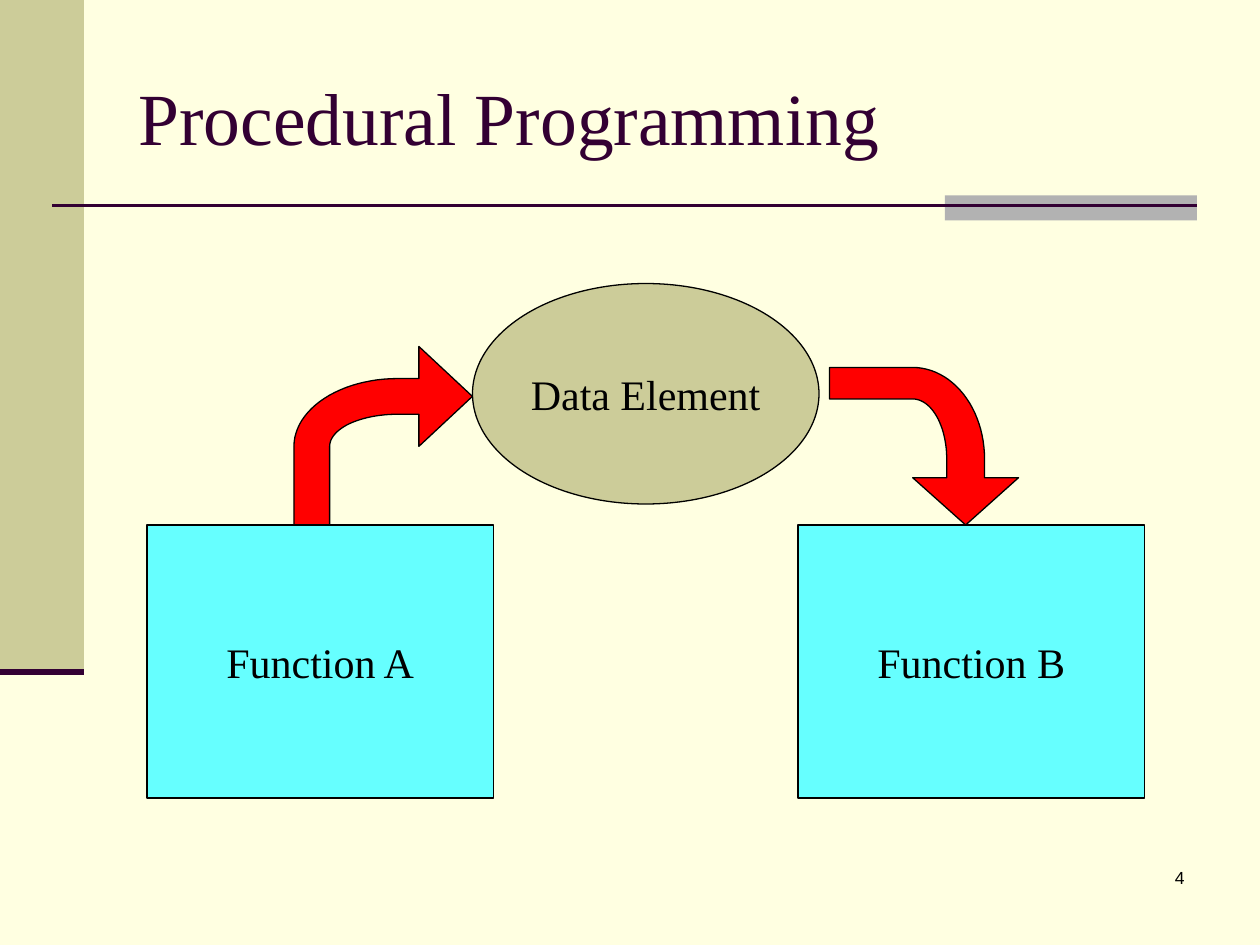
from math import cos, pi, sin

from lxml import etree
from pptx import Presentation
from pptx import util as u
from pptx.dml.color import RGBColor
from pptx.enum import shapes, text
from pptx.oxml.ns import qn

CREAM = RGBColor(0xFF, 0xFF, 0xE1)
KHAKI = RGBColor(0xCC, 0xCC, 0x99)
GREY = RGBColor(0xB2, 0xB2, 0xB2)
PLUM = RGBColor(0x33, 0x00, 0x33)
CYAN = RGBColor(0x66, 0xFF, 0xFF)
RED = RGBColor(0xFF, 0x00, 0x00)
BLACK = RGBColor(0x00, 0x00, 0x00)

RECT = shapes.MSO_SHAPE.RECTANGLE
OVAL = shapes.MSO_SHAPE.OVAL
SERIF, SANS = "Times New Roman", "Arial"


def grid(*cells):
    """Grid of 120 columns by 90 rows, twelve cells to the inch."""
    return [u.Inches(c / 12) for c in cells]


def bend(rx, ry, start, end, steps=24):
    """Quarter of an ellipse round the arrow's bend, in shares of its box."""
    angles = [start + (end - start) * i / steps for i in range(steps + 1)]
    return [(0.58 - rx * sin(a), 0.56 - ry * cos(a)) for a in angles]


# Bent arrow from bottom left to right, in shares of its box
ARROW = [(1, 0.28), (0.7, 0), (0.7, 0.18),
         *bend(0.58, 0.38, 0, pi / 2), (0, 1), (0.2, 1),
         *bend(0.38, 0.18, pi / 2, 0), (0.7, 0.38), (0.7, 0.56)]


class Slide:
    def __init__(self, prs):
        self.s = prs.slides.add_slide(prs.slide_layouts[6])
        self.s.background.fill.solid()
        self.s.background.fill.fore_color.rgb = CREAM

    def paint(self, sp, fill, outlined):
        sp.shadow.inherit = False
        sp.fill.solid()
        sp.fill.fore_color.rgb = fill
        if outlined:
            sp.line.color.rgb = BLACK
            sp.line.width = u.Pt(0.75)
        else:
            sp.line.fill.background()

    def label(self, sp, words, size, font, color, align, wrap):
        tf = sp.text_frame
        tf.text = words
        tf.word_wrap = wrap
        p = tf.paragraphs[0]
        p.alignment = align
        f = p.runs[0].font
        f.size, f.name, f.color.rgb = u.Pt(size), font, color
        return tf

    def block(self, kind, box, fill, words=None):
        sp = self.s.shapes.add_shape(kind, *grid(*box))
        self.paint(sp, fill, outlined=words is not None)
        if words:
            tf = self.label(sp, words, 24, SERIF, BLACK, text.PP_ALIGN.CENTER, False)
            tf.vertical_anchor = text.MSO_ANCHOR.MIDDLE

    def rule(self, x1, x2, y, width):
        line = self.s.shapes.add_connector(
            shapes.MSO_CONNECTOR.STRAIGHT, *grid(x1, y, x2, y))
        line.line.color.rgb = PLUM
        line.line.width = u.Pt(width)
        etree.SubElement(line._element.spPr, qn("a:effectLst"))

    def textbox(self, box, words, size, font, color, align, anchor):
        sp = self.s.shapes.add_textbox(*grid(*box))
        tf = self.label(sp, words, size, font, color, align, True)
        tf.vertical_anchor = anchor

    def arrow(self, box, rotation=0):
        left, top, width, height = grid(*box)
        points = [(left + x * width, top + y * height) for x, y in ARROW]
        fb = self.s.shapes.build_freeform(*points[0])
        fb.add_line_segments(points[1:], close=True)
        sp = fb.convert_to_shape()
        self.paint(sp, RED, outlined=True)
        sp.rotation = rotation


def main():
    prs = Presentation()
    prs.slide_width, prs.slide_height = grid(120, 90)
    slide = Slide(prs)

    # Side band and heading rules
    slide.block(RECT, (0, 0, 8, 64), KHAKI)
    slide.block(RECT, (90, 18.6, 24, 2.4), GREY)
    slide.rule(5, 114, 19.6, 1.5)
    slide.rule(0, 8, 64, 3.5)

    # Page number and title
    slide.textbox((89, 82, 25, 6), "4", 10, SANS, BLACK,
                  text.PP_ALIGN.RIGHT, text.MSO_ANCHOR.TOP)
    slide.textbox((12, 3.6, 102, 15), "Procedural Programming", 42, SERIF, PLUM,
                  text.PP_ALIGN.LEFT, text.MSO_ANCHOR.MIDDLE)

    # Functions sharing a data element
    slide.block(RECT, (14, 50, 33, 26), CYAN, "Function A")
    slide.block(OVAL, (45, 27, 33, 21), KHAKI, "Data Element")
    slide.arrow((28, 33, 17, 17))
    slide.block(RECT, (76, 50, 33, 26), CYAN, "Function B")
    slide.arrow((80.5, 33.5, 15, 18), rotation=90)

    prs.save("out.pptx")


if __name__ == "__main__":
    main()
